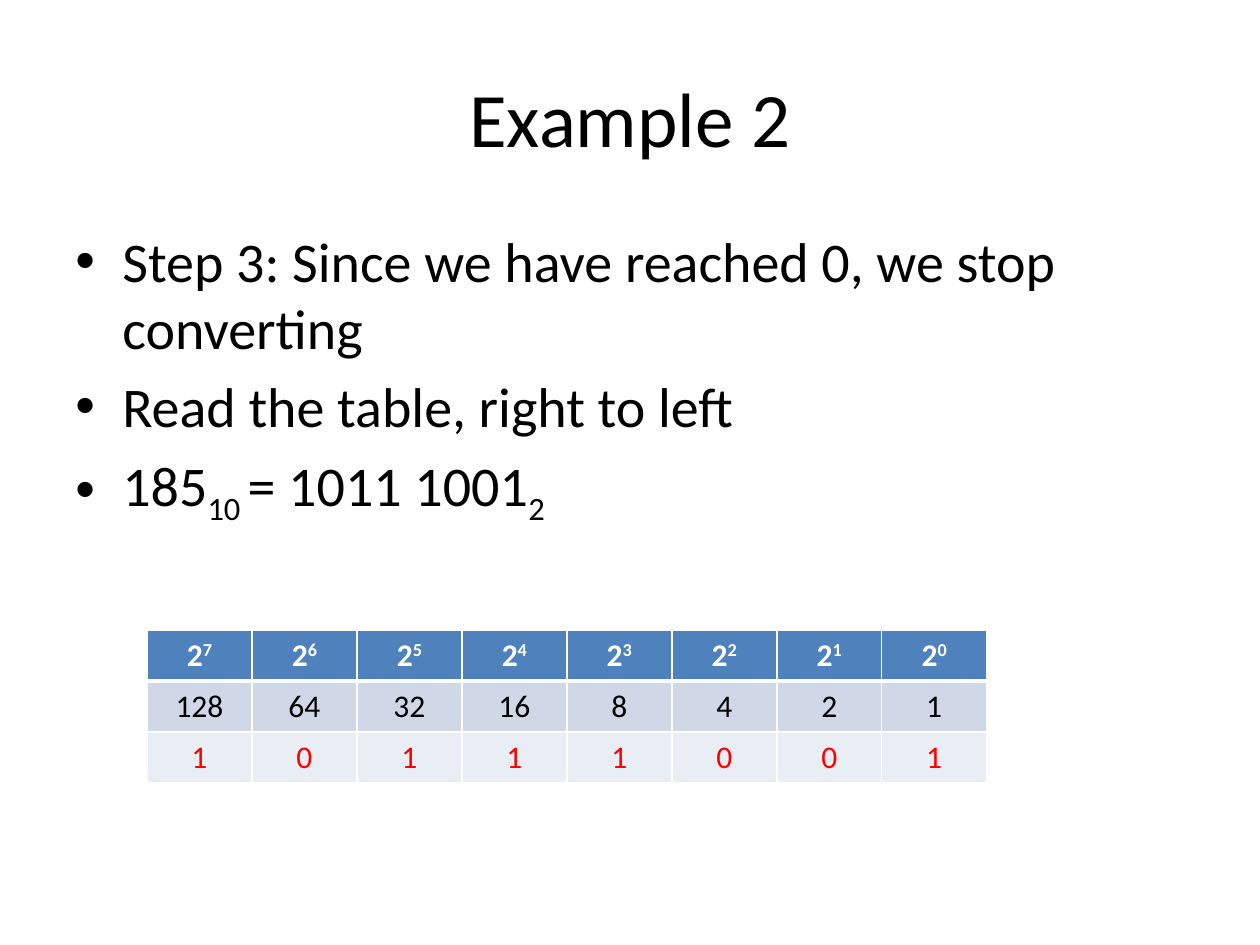
import dataclasses

import pptx
import pptx.dml.color
import pptx.enum.text
import pptx.oxml
import pptx.oxml.ns
import pptx.util

EMU_PER_PX = 914400 // 126
CENTER = pptx.enum.text.PP_ALIGN.CENTER
LEFT = pptx.enum.text.PP_ALIGN.LEFT
TOP = pptx.enum.text.MSO_ANCHOR.TOP
MIDDLE = pptx.enum.text.MSO_ANCHOR.MIDDLE


@dataclasses.dataclass(frozen=True)
class Theme:
    font: str = "Calibri"
    text: str = "000000"
    white: str = "FFFFFF"
    answer: str = "FF0000"
    header_fill: str = "4F81BD"
    value_fill: str = "D0D8E8"
    answer_fill: str = "E9EDF4"
    title_size: int = 44
    body_size: int = 32
    table_size: int = 18
    subscript: int = -25
    superscript: int = 30


def px(length):
    return pptx.util.Emu(length * EMU_PER_PX)


def rgb(color):
    return pptx.dml.color.RGBColor.from_string(color)


def xml(markup):
    return pptx.oxml.parse_xml(markup.replace(" ", f" {pptx.oxml.ns.nsdecls('a')} ", 1))


def write_text(paragraph, text, *, font, size, color, bold=False, align=LEFT):
    paragraph.alignment = align
    pieces = [(text, 0)] if isinstance(text, str) else text
    for piece, baseline in pieces:
        run = paragraph.add_run()
        run.text = piece
        run.font.name = font
        run.font.size = pptx.util.Pt(size)
        run.font.bold = bold
        run.font.color.rgb = rgb(color)
        if baseline:
            run.font._element.set("baseline", str(baseline * 1000))


class SlideBuilder:
    def __init__(self, slide, theme):
        self.slide = slide
        self.theme = theme

    def text_box(self, left, top, width, height, anchor):
        shape = self.slide.shapes.add_textbox(px(left), px(top), px(width), px(height))
        shape.text_frame.word_wrap = True
        shape.text_frame.vertical_anchor = anchor
        return shape.text_frame

    def title(self, text, left, top, width, height):
        frame = self.text_box(left, top, width, height, MIDDLE)
        write_text(frame.paragraphs[0], text, font=self.theme.font,
                   size=self.theme.title_size, color=self.theme.text, align=CENTER)

    def bullets(self, items, left, top, width, height, indent):
        frame = self.text_box(left, top, width, height, TOP)
        for index, item in enumerate(items):
            paragraph = frame.add_paragraph() if index else frame.paragraphs[0]
            if index:
                paragraph.space_before = pptx.util.Pt(self.theme.body_size * 0.2)
            properties = paragraph._p.get_or_add_pPr()
            properties.set("marL", str(px(indent)))
            properties.set("indent", str(-px(indent)))
            properties.append(xml('<a:buFont typeface="Arial"/>'))
            properties.append(xml('<a:buChar char="•"/>'))
            write_text(paragraph, item, font=self.theme.font,
                       size=self.theme.body_size, color=self.theme.text)

    def borders(self, cell, top_width, bottom_width):
        properties = cell._tc.get_or_add_tcPr()
        for side, width in (("L", 1), ("R", 1), ("T", top_width), ("B", bottom_width)):
            properties.append(xml(
                f'<a:ln{side} w="{pptx.util.Pt(width)}"><a:solidFill>'
                f'<a:srgbClr val="{self.theme.white}"/></a:solidFill></a:ln{side}>'))

    def table(self, rows, left, top, column_width, row_height):
        column_count = len(rows[0][0])
        table = self.slide.shapes.add_table(
            len(rows), column_count, px(left), px(top),
            px(column_width * column_count), px(row_height * len(rows))).table
        table.first_row = table.horz_banding = False
        for row_index, (values, fill, color, bold) in enumerate(rows):
            for column_index, value in enumerate(values):
                cell = table.cell(row_index, column_index)
                cell.margin_left = cell.margin_right = px(9)
                cell.margin_top = cell.margin_bottom = pptx.util.Pt(3.6)
                self.borders(cell, 3 if row_index == 1 else 1, 3 if row_index == 0 else 1)
                cell.fill.solid()
                cell.fill.fore_color.rgb = rgb(fill)
                write_text(cell.text_frame.paragraphs[0], value, font=self.theme.font,
                           size=self.theme.table_size, color=color, bold=bold, align=CENTER)


def main():
    theme = Theme()
    presentation = pptx.Presentation()
    presentation.slide_width = pptx.util.Inches(10)
    presentation.slide_height = pptx.util.Inches(7.5)
    builder = SlideBuilder(presentation.slides.add_slide(presentation.slide_layouts[6]), theme)

    builder.title("Example 2", 63, 38, 1134, 157)
    builder.bullets([
        "Step 3: Since we have reached 0, we stop converting",
        "Read the table, right to left",
        [("185", 0), ("10 ", theme.subscript), ("= 1011 1001", 0), ("2", theme.subscript)],
    ], 63, 220, 1134, 624, indent=47)

    exponents = range(7, -1, -1)
    powers = [[("2", 0), (str(exponent), theme.superscript)] for exponent in exponents]
    values = [str(2 ** exponent) for exponent in exponents]
    builder.table([
        (powers, theme.header_fill, theme.white, True),
        (values, theme.value_fill, theme.text, False),
        (list("10111001"), theme.answer_fill, theme.answer, False),
    ], 147, 630, column_width=105, row_height=51)

    presentation.save("out.pptx")


if __name__ == "__main__":
    main()
